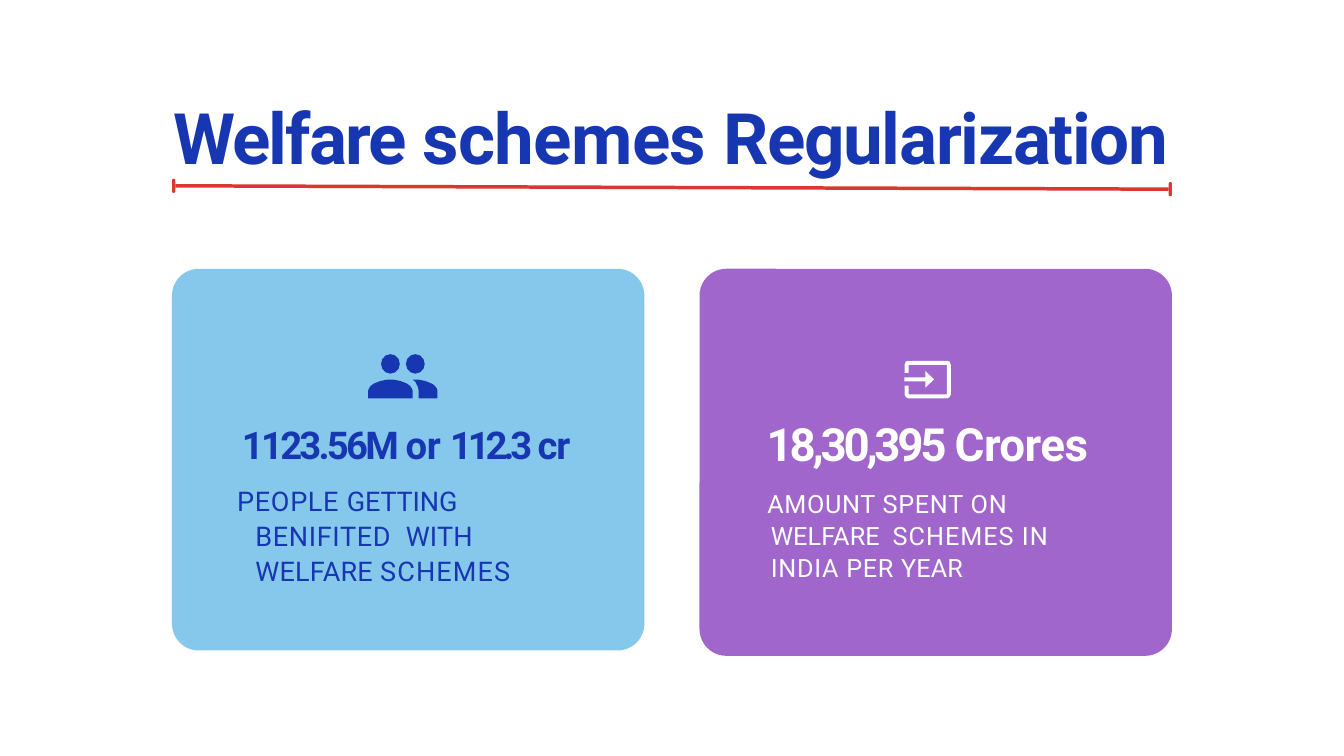
from pptx import Presentation
from pptx.dml.color import RGBColor
from pptx.enum import shapes, text
from pptx.oxml.ns import qn
from pptx.util import Inches, Pt
from lxml import etree

WIDTH, HEIGHT = 20, 11.25
LEFT, CARD_W, GAP = 2.56, 7.03, 0.82
CARD_TOP, RADIUS = 4, 0.4
ICON_BOTTOM = 5.93
BLUE, SKY, PURPLE, RED, WHITE = "1736B1", "86C7EC", "A066CB", "D9372F", "FFFFFF"
KIND = shapes.MSO_SHAPE


def color(value):
    return RGBColor.from_string(value)


def column(n):
    """Left edge of card column n; column 2 is one gap past the right margin."""
    return LEFT + n * (CARD_W + GAP)


def paint(sp, fill):
    sp.shadow.inherit = False
    sp.fill.solid()
    sp.fill.fore_color.rgb = color(fill)
    sp.line.fill.background()
    return sp


def add_preset(s, kind, box, fill, adjust=()):
    sp = s.shapes.add_shape(kind, *map(Inches, box))
    for i, value in enumerate(adjust):
        sp.adjustments[i] = value
    return paint(sp, fill)


def add_outline(s, points, fill):
    points = [(Inches(x), Inches(y)) for x, y in points]
    builder = s.shapes.build_freeform(*points[0])
    builder.add_line_segments(points[1:], close=True)
    return paint(builder.convert_to_shape(), fill)


def add_text_box(s, box):
    tf = s.shapes.add_textbox(*map(Inches, box)).text_frame
    tf.word_wrap = True
    tf.auto_size = text.MSO_AUTO_SIZE.NONE
    tf.margin_left = tf.margin_right = tf.margin_top = tf.margin_bottom = 0
    return tf


def write(p, lines, *, size, fill, bold=False, margin=0, hang=0, leading=None, before=0):
    """Fill a paragraph with lines, each a list of (words, letter spacing in points)."""
    pPr = p._p.get_or_add_pPr()
    pPr.set("marL", str(Inches(margin)))
    pPr.set("indent", str(Inches(-hang)))
    p.space_before = Pt(before)
    if leading:
        p.line_spacing = leading
    for i, line in enumerate(lines):
        if i:
            p.add_line_break()
        for words, spacing in line:
            r = p.add_run()
            r.text = words
            r.font.name, r.font.size, r.font.bold = "Roboto", Pt(size), bold
            r.font.color.rgb = color(fill)
            r.font._element.set("spc", str(round(spacing * 100)))


def add_title(s):
    tf = add_text_box(s, (LEFT + 0.01, 1.39, 15.15, 1.29))
    write(tf.paragraphs[0], [[("Welfare ", -2), ("schemes ", -0.8), ("Regularization", -1.4)]],
          size=76, fill=BLUE, bold=True, margin=0.01)


def add_rule(s):
    cap_w, cap_h = 0.05, 0.21
    right = column(1) + CARD_W - cap_w
    caps = [add_preset(s, KIND.ROUNDED_RECTANGLE, (x, y, cap_w, cap_h), RED, [0.5])
            for x, y in ((LEFT, 2.66), (right, 2.71))]
    line = s.shapes.add_connector(shapes.MSO_CONNECTOR.STRAIGHT, 0, 0, 0, 0)
    line.begin_connect(caps[0], 3)
    line.end_connect(caps[1], 1)
    line.line.color.rgb = color(RED)
    line.line.width = Pt(3.75)
    etree.SubElement(line._element.spPr, qn("a:effectLst"))


def add_card(s, n, height, fill):
    add_preset(s, KIND.ROUNDED_RECTANGLE, (column(n), CARD_TOP, CARD_W, height),
               fill, [RADIUS / height])


def add_people_icon(s):
    for x in (5.67, 6.04):
        add_preset(s, KIND.OVAL, (x, 5.27, 0.28, 0.29), BLUE)
    half = [(0.33, 5.81), (0.32, 5.78), (0.29, 5.74), (0.25, 5.71), (0.2, 5.69),
            (0.15, 5.67), (0.1, 5.66), (0.05, 5.65)]
    center = 5.81
    front = [(center - x, y) for x, y in half] + [(center + x, y) for x, y in reversed(half)]
    add_outline(s, [(5.48, ICON_BOTTOM), *front, (6.14, ICON_BOTTOM)], BLUE)
    center = 6.18
    back = [(center + x, y) for x, y in reversed(half)]
    inner = [(6.23, 5.81), (6.22, 5.76), (6.2, 5.72), (6.18, 5.68), (6.14, 5.65)]
    add_outline(s, [(6.23, ICON_BOTTOM), *inner, *back, (6.51, ICON_BOTTOM)], BLUE)


def add_input_icon(s):
    x1, x2, x3, x4 = 13.46, 13.52, 14.09, 14.15
    y1, y2, y3, y4 = 5.37, 5.43, 5.87, ICON_BOTTOM
    add_outline(s, [(x1, 5.55), (x1, y2), (13.48, 5.38), (x2, y1), (x3, y1), (14.13, 5.38),
                    (x4, y2), (x4, y3), (14.13, 5.91), (x3, y4), (x2, y4), (13.48, 5.91),
                    (x1, y3), (x1, 5.74), (x2, 5.74), (x2, y3), (x3, y3), (x3, y2),
                    (x2, y2), (x2, 5.55)], WHITE)
    add_preset(s, KIND.RIGHT_ARROW, (x1, 5.52, 0.44, 0.25), WHITE, [0.24, 0.52])


def add_figure(s, box, value, caption):
    """Write a big number and, below it, its caption."""
    tf = add_text_box(s, box)
    write(tf.paragraphs[0], bold=True, **value)
    write(tf.add_paragraph(), **caption)


def main():
    prs = Presentation()
    prs.slide_width, prs.slide_height = Inches(WIDTH), Inches(HEIGHT)
    s = prs.slides.add_slide(prs.slide_layouts[6])
    add_title(s)
    add_rule(s)

    add_card(s, 0, 5.68, SKY)
    add_people_icon(s)
    add_figure(
        s, (column(0) + 0.95, 6.27, 5.19, 1.95),
        dict(lines=[[("1123.56M ", -3), ("or ", -0.3), ("112.3 ", -4.5), ("cr", -1.4)]],
             size=41, fill=BLUE, margin=0.09),
        dict(lines=[[("PEOPLE ", 0.7), ("GETTING", -0.2)],
                    [("BENIFITED", 0.7), (" ", 8), ("WITH", 0.1)],
                    [("WELFARE ", 0.2), ("SCHEMES", 1.2)]],
             size=29, fill=BLUE, margin=0.29, hang=0.27, leading=1.08, before=15.2))

    add_card(s, 1, 5.76, PURPLE)
    add_input_icon(s)
    add_figure(
        s, (column(1) + 0.99, 6.18, 5.08, 2.04),
        dict(lines=[[("18,30,395 ", -3.5), ("Crores", -0.6)]],
             size=49, fill=WHITE, margin=0.01),
        dict(lines=[[("AMOUNT ", 0.7), ("SPENT ", 0.8), ("ON", 1.1)],
                    [("WELFARE", 0.1), (" ", 7), ("SCHEMES IN", 1.1)],
                    [("INDIA ", 0.8), ("PER ", 0.7), ("YEAR", 0.2)]],
             size=27, fill=WHITE, margin=0.07, hang=0.05, leading=1.06, before=17.6))
    prs.save("out.pptx")


if __name__ == "__main__":
    main()
